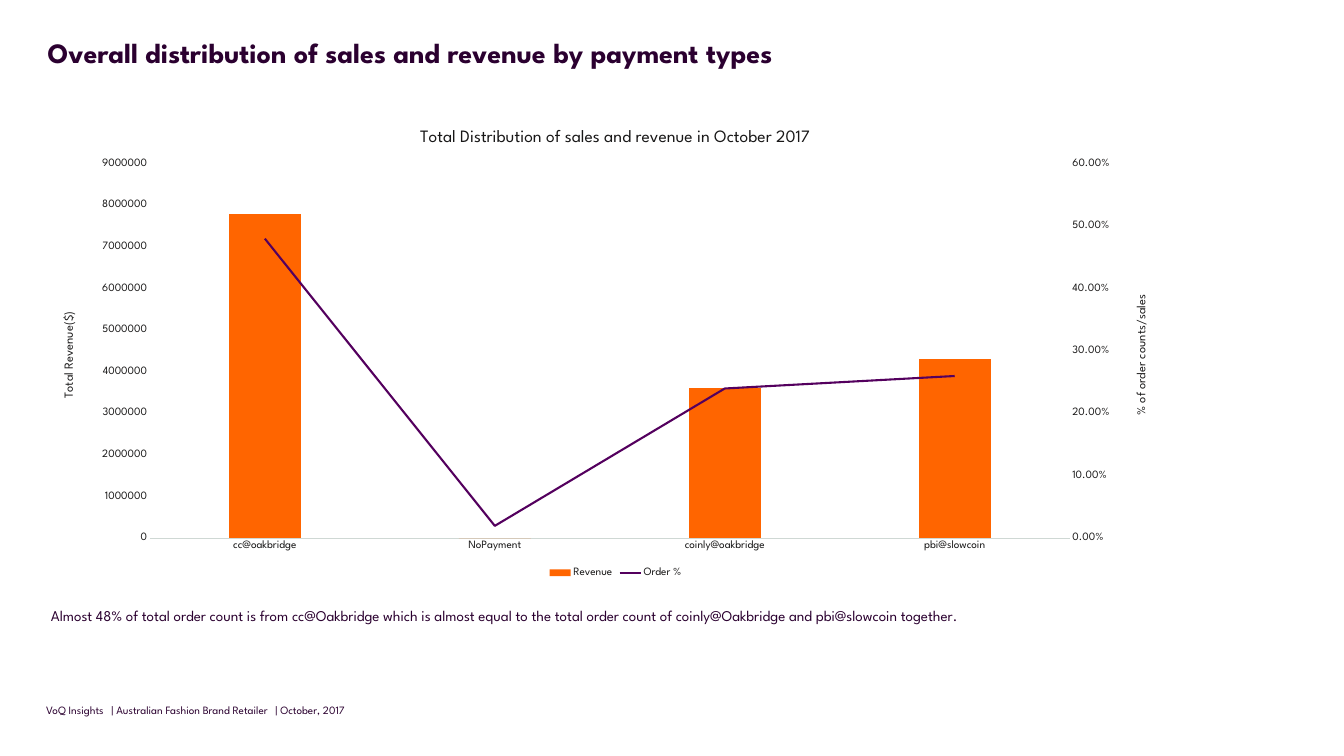
from copy import deepcopy

from lxml.etree import SubElement
from pptx import Presentation
from pptx.chart.data import CategoryChartData
from pptx.dml.color import RGBColor
from pptx.enum.chart import XL_CHART_TYPE as ChartType
from pptx.enum.chart import XL_LEGEND_POSITION as LegendPosition
from pptx.enum.chart import XL_MARKER_STYLE as MarkerStyle
from pptx.enum.chart import XL_TICK_MARK as TickMark
from pptx.oxml import parse_xml
from pptx.oxml.ns import nsdecls, qn
from pptx.util import Inches, Pt

# Content
TEXTS = [
    dict(text="Overall distribution of sales and revenue by payment types",
         at=(0.71, 0.59, 13.94, 0.39), style="heading", insets=(0, 0, 0.1, 0.05), spacing=0.9),
    dict(text="Almost 48% of total order count is from cc@Oakbridge which is almost equal to "
              "the total order count of coinly@Oakbridge and pbi@slowcoin together.",
         at=(0.66, 8.98, 18.5, 0.37), style="body"),
    dict(text="VoQ Insights\t| Australian Fashion Brand Retailer\t| October, 2017",
         at=(0.59, 10.42, 10.2, 0.38), style="footer", tabs=(0.97, 3.41)),
]
CHART = dict(
    title="Total Distribution of sales and revenue in October 2017",
    at=(0.71, 1.67, 16.9, 6.97),
    plot=dict(x=0.09, y=0.11, w=0.81, h=0.8),
    categories=["cc@oakbridge", "NoPayment", "coinly@oakbridge", "pbi@slowcoin"],
    revenue=("Revenue", [7800000, 0, 3600000, 4300000], "0"),
    orders=("Order %", [0.48, 0.02, 0.24, 0.26], "0.00%"),
    left_title="Total Revenue($)", left_range=(0, 9000000, 1000000),
    right_title="% of order counts/sales", right_range=(0, 0.6, 0.1),
)

# Theme
THEME = dict(
    font="League Spartan", text="2B0030", chart_text="181717",
    bar="FF6500", line="54005E", axis="CFD8D4",
    heading=dict(size=Pt(30), bold=True), body=dict(size=Pt(16), bold=False),
    footer=dict(size=Pt(12), bold=False), chart=dict(size=Pt(12), bold=False),
    chart_title=dict(size=Pt(18.6), bold=False), axis_title=dict(size=Pt(13.3), bold=False),
)


def color(key):
    return RGBColor.from_string(THEME[key])


def format_font(font, style, color_key):
    for name, value in dict(THEME[style], name=THEME["font"]).items():
        setattr(font, name, value)
    font.color.rgb = color(color_key)


def add_text(slide, text, at, style, insets=None, spacing=None, tabs=()):
    box = slide.shapes.add_textbox(*map(Inches, at))
    frame = box.text_frame
    frame.word_wrap = True
    if insets:
        for side, inset in zip(("left", "top", "right", "bottom"), insets):
            setattr(frame, f"margin_{side}", Inches(inset))
    para = frame.paragraphs[0]
    if tabs:
        tab_list = SubElement(para._p.get_or_add_pPr(), qn("a:tabLst"))
        for stop in tabs:
            SubElement(tab_list, qn("a:tab"), pos=str(Inches(stop)), algn="l")
    if spacing:
        para.line_spacing = spacing
    span = para.add_run()
    span.text = text
    format_font(span.font, style, "text")


def set_title(frame, text, style):
    span = frame.paragraphs[0].add_run()
    span.text = text
    format_font(span.font, style, "chart_text")


def set_range(axis, limits):
    axis.minimum_scale, axis.maximum_scale, axis.major_unit = limits


def set_value(element, tag, value):
    element.find(qn(tag)).set("val", str(value))


def add_order_line(chart):
    """Move the second series to a line on a right-hand axis."""
    plot_area = chart._chartSpace.chart.plotArea
    bars = plot_area.find(qn("c:barChart"))
    series = bars.findall(qn("c:ser"))[1]
    for bar_only in series.findall(qn("c:invertIfNegative")):
        series.remove(bar_only)
    line_chart = parse_xml(
        f'<c:lineChart {nsdecls("c")}><c:grouping val="standard"/><c:varyColors val="0"/>'
        '<c:marker val="1"/><c:axId val="5001"/><c:axId val="5002"/></c:lineChart>')
    line_chart.insert(2, series)
    bars.addnext(line_chart)

    # Second pair of axes, copied from the first pair
    left = plot_area.find(qn("c:valAx"))
    bottom = plot_area.find(qn("c:catAx"))
    right, hidden = deepcopy(left), deepcopy(bottom)
    for axis, own, other in ((right, 5002, 5001), (hidden, 5001, 5002)):
        set_value(axis, "c:axId", own)
        set_value(axis, "c:crossAx", other)
    set_value(right, "c:axPos", "r")
    set_value(right, "c:crosses", "max")
    set_value(hidden, "c:delete", 1)
    right.find(qn("c:numFmt")).set("formatCode", CHART["orders"][2])
    next(right.iter(qn("a:t"))).text = CHART["right_title"]
    for tag, value in zip(("c:min", "c:max", "c:majorUnit"), CHART["right_range"]):
        next(right.iter(qn(tag))).set("val", str(value))
    left.addnext(right)
    right.addnext(hidden)

    orders = chart.plots[1].series[0]
    orders.smooth = False
    orders.marker.style = MarkerStyle.NONE
    orders.format.line.color.rgb = color("line")
    orders.format.line.width = Pt(2.25)


def add_sales_chart(slide):
    data = CategoryChartData()
    data.categories = CHART["categories"]
    for name, values, number_format in (CHART["revenue"], CHART["orders"]):
        data.add_series(name, values, number_format)
    chart = slide.shapes.add_chart(
        ChartType.COLUMN_CLUSTERED, *map(Inches, CHART["at"]), data).chart
    format_font(chart.font, "chart", "chart_text")
    chart.has_title = True
    set_title(chart.chart_title.text_frame, CHART["title"], "chart_title")
    chart.chart_title.include_in_layout = False
    chart.has_legend = True
    chart.legend.position = LegendPosition.BOTTOM
    chart.legend.include_in_layout = False
    format_font(chart.legend.font, "chart", "chart_text")

    # Columns
    columns = chart.plots[0]
    columns.gap_width = 219
    columns.vary_by_categories = False
    fill = columns.series[0].format.fill
    fill.solid()
    fill.fore_color.rgb = color("bar")

    # Axes
    category, value = chart.category_axis, chart.value_axis
    for axis in (category, value):
        axis.has_major_gridlines = False
        axis.major_tick_mark = axis.minor_tick_mark = TickMark.NONE
        format_font(axis.tick_labels.font, "chart", "chart_text")
    category.format.line.color.rgb = color("axis")
    category.format.line.width = Pt(0.75)
    value.format.line.fill.background()
    value.tick_labels.number_format = CHART["revenue"][2]
    value.tick_labels.number_format_is_linked = False
    set_range(value, CHART["left_range"])
    title_frame = value.axis_title.text_frame
    set_title(title_frame, CHART["left_title"], "axis_title")
    body = title_frame._txBody.find(qn("a:bodyPr"))
    body.set("rot", "-5400000")
    body.set("vert", "horz")
    add_order_line(chart)

    # Plot area
    plot_area = chart._chartSpace.chart.plotArea
    for old in plot_area.findall(qn("c:layout")):
        plot_area.remove(old)
    sizes = "".join(f'<c:{key} val="{part}"/>' for key, part in CHART["plot"].items())
    plot_area.insert(0, parse_xml(
        f'<c:layout {nsdecls("c")}><c:manualLayout><c:layoutTarget val="inner"/>'
        f'<c:xMode val="edge"/><c:yMode val="edge"/>{sizes}</c:manualLayout></c:layout>'))


def main():
    deck = Presentation()
    deck.slide_width, deck.slide_height = Inches(20), Inches(11.25)
    page = deck.slides.add_slide(deck.slide_layouts[6])
    for item in TEXTS:
        add_text(page, **item)
    add_sales_chart(page)
    deck.save("out.pptx")


if __name__ == "__main__":
    main()
